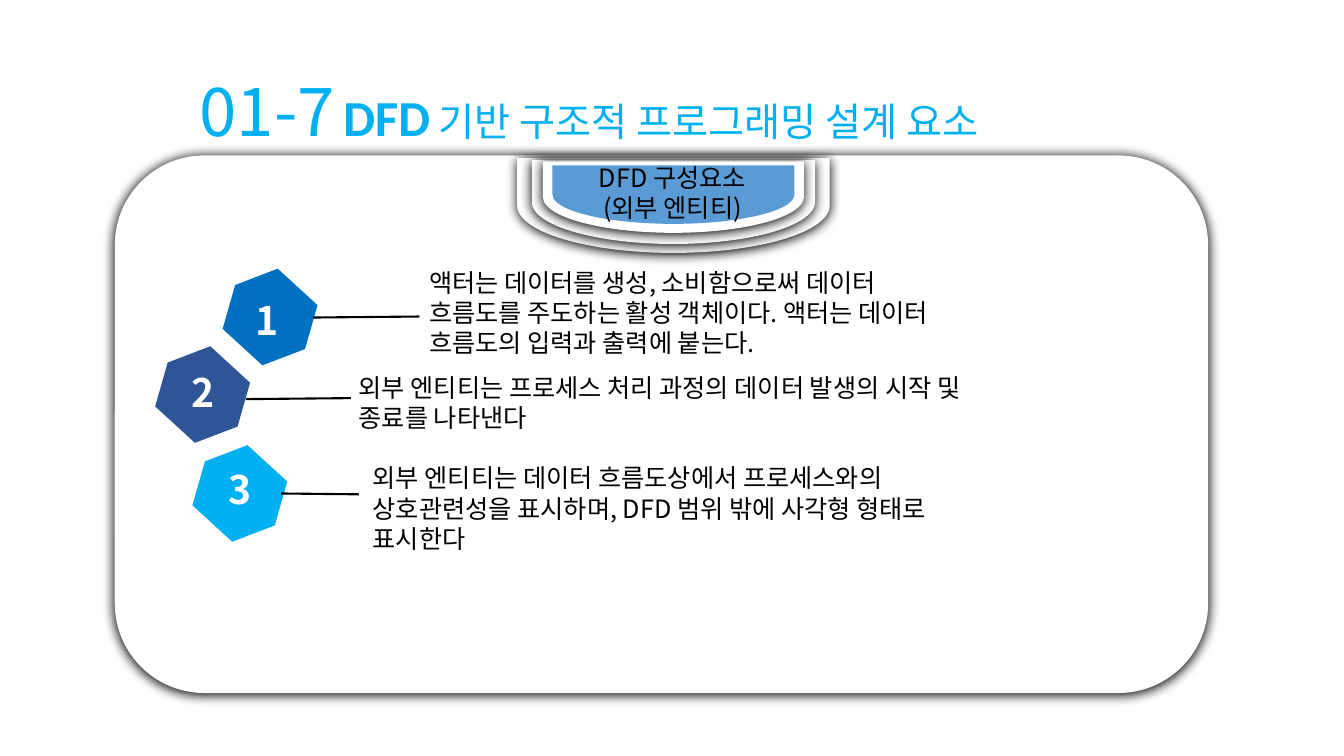
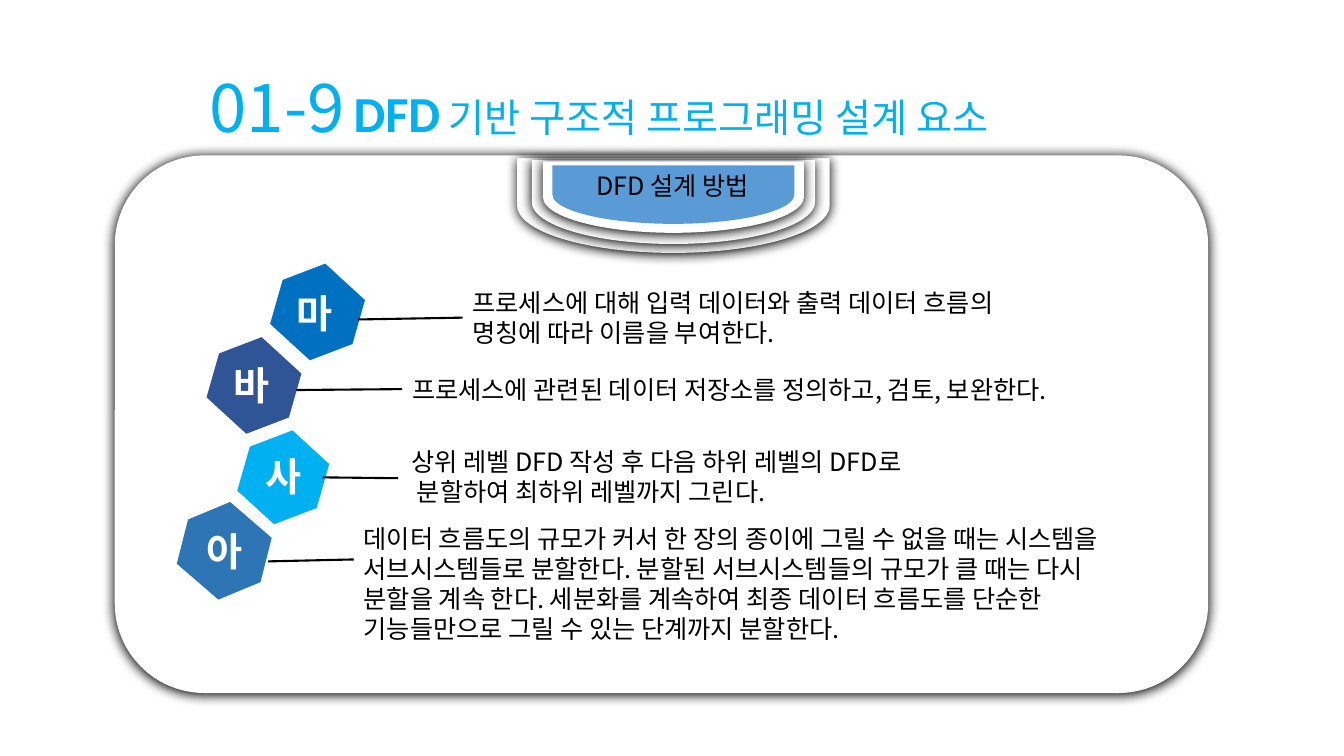
from dataclasses import dataclass

from lxml.etree import SubElement
from pptx import Presentation
from pptx.dml.color import RGBColor
from pptx.enum.shapes import MSO_CONNECTOR as Line, MSO_SHAPE as Preset
from pptx.enum.text import MSO_AUTO_SIZE as AutoSize, PP_ALIGN as Align
from pptx.oxml.ns import qn
from pptx.util import Pt

KOREAN, LATIN = "Noto Sans CJK KR", "Calibri"
BLACK, WHITE = "000000", "FFFFFF"
BLUE, NAVY, SKY, STEEL, BADGE = "0070C0", "2F5597", "00B0F0", "2E75B6", "5B9BD5"
SUBJECT = " 기반 구조적 프로그래밍 설계 요소"
BADGE_CENTER = 481


@dataclass(frozen=True)
class Run:
    text: str
    size: float = 18
    color: str = BLACK
    font: str = KOREAN
    bold: bool = False


@dataclass(frozen=True)
class Layer:
    top: float
    depth: float
    span: float
    fill: str = WHITE


@dataclass(frozen=True)
class Item:
    mark: str
    color: str
    hexagon: tuple[float, float]
    mark_at: tuple[float, float]
    start: tuple[float, float]
    end: tuple[float, float]
    text_at: tuple[float, float]
    text_width: float
    rows: int
    paragraphs: tuple[str, ...]
    joined: bool = False
    hexagon_width: float = 67.7
    rotation: float = 42.5


@dataclass(frozen=True)
class Page:
    number: str
    title_at: tuple[float, float]
    badge: str
    badge_top: float
    badge_rows: int
    items: tuple[Item, ...]


LAYERS = (
    Layer(113, 67.7, 223.2),
    Layer(114.5, 59.8, 202.3),
    Layer(115.2, 51.1, 186.5),
    Layer(118.1, 41.8, 172.8, BADGE),
)

PAGES = (
    Page("01-7", (135.4, 46), "DFD 구성요소(외부 엔티티)", 112.3, 2, (
        Item("1", BLUE, (159.1, 197.3), (175.7, 208.1), (223.9, 226.8), (299.5, 226.1),
             (299.5, 187.2), 391.7, 3,
             ("액터는 데이터를 생성, 소비함으로써 데이터 흐름도를 주도하는 활성 객체이다. "
              "액터는 데이터 흐름도의 입력과 출력에 붙는다.",)),
        Item("2", NAVY, (110.9, 252.7), (129.6, 259.2), (175.7, 285.1), (250.6, 284.4),
             (249.1, 262.1), 493.2, 2,
             ("외부 엔티티는 프로세스 처리 과정의 데이터 발생의 시작 및 종료를 나타낸다",)),
        Item("3", SKY, (137.5, 323.3), (156.2, 329), (200.9, 352.5), (256.3, 353.1),
             (259.2, 326.9), 453.6, 3,
             ("외부 엔티티는 데이터 흐름도상에서 프로세스와의 상호관련성을 표시하며, "
              "DFD 범위 밖에 사각형 형태로 표시한다",)),
    )),
    Page("01-9", (142.6, 43.2), "DFD 설계 방법", 118.1, 1, (
        Item("마", BLUE, (193, 193.7), (204.5, 203), (255.6, 228.2), (330.5, 227.5),
             (330.5, 201.6), 391.7, 2,
             ("프로세스에 대해 입력 데이터와 출력 데이터 흐름의 명칭에 따라 이름을 부여한다.",),
             joined=True),
        Item("바", NAVY, (147.6, 246.2), (159.8, 254.2), (211.7, 278.6), (287.3, 277.9),
             (287.3, 263.5), 532.8, 1,
             ("프로세스에 관련된 데이터 저장소를 정의하고, 검토, 보완한다.",),
             joined=True),
        Item("사", SKY, (169.9, 311.8), (182.2, 319.7), (230.4, 341), (284.4, 341.6),
             (286.6, 315.4), 435.6, 2,
             ("상위 레벨 DFD 작성 후 다음 하위 레벨의 DFD로",
              " 분할하여 최하위 레벨까지 그린다."),
             hexagon_width=64.8),
        Item("아", STEEL, (126, 364.3), (140.4, 373), (191.5, 401), (252.7, 399.6),
             (252.7, 370.1), 552.2, 4,
             ("데이터 흐름도의 규모가 커서 한 장의 종이에 그릴 수 없을 때는 시스템을 "
              "서브시스템들로 분할한다. 분할된 서브시스템들의 규모가 클 때는 다시 분할을 "
              "계속 한다. 세분화를 계속하여 최종 데이터 흐름도를 단순한 기능들만으로 그릴 "
              "수 있는 단계까지 분할한다.",),
             hexagon_width=68.4, rotation=40.8),
    )),
)


def rgb(color: str) -> RGBColor:
    return RGBColor.from_string(color)


def text_height(rows: int) -> float:
    return 7.2 + 21.7 * rows


def add_text(shapes, left: float, top: float, width: float, height: float,
             paragraphs: list[list[Run]], align=Align.LEFT):
    box = shapes.add_textbox(Pt(left), Pt(top), Pt(width), Pt(height))
    frame = box.text_frame
    frame.word_wrap = True
    frame.auto_size = AutoSize.SHAPE_TO_FIT_TEXT
    for index, runs in enumerate(paragraphs):
        paragraph = frame.add_paragraph() if index else frame.paragraphs[0]
        paragraph.alignment = align
        for part in runs:
            run = paragraph.add_run()
            run.text = part.text
            run.font.size = Pt(part.size)
            run.font.bold = part.bold
            run.font.color.rgb = rgb(part.color)
            run.font.name = part.font
            SubElement(run.font._element, qn("a:ea"), typeface=part.font)
    return box


def add_preset(shapes, preset, left: float, top: float, width: float, height: float,
               fill: str, rotation: float = 0, shadowed: bool = False) -> None:
    shape = shapes.add_shape(preset, Pt(left), Pt(top), Pt(width), Pt(height))
    shape.rotation = rotation
    shape.fill.solid()
    shape.fill.fore_color.rgb = rgb(fill)
    shape.line.fill.background()
    shape.shadow.inherit = False
    if shadowed:
        effects = shape._element.spPr.find(qn("a:effectLst"))
        shadow = SubElement(effects, qn("a:outerShdw"), blurRad=str(Pt(8.5)),
                            dist=str(Pt(1)), dir="5400000", algn="t", rotWithShape="0")
        SubElement(shadow, qn("a:srgbClr"), val=BLACK)


def add_item(shapes, item: Item) -> None:
    group = shapes.add_group_shape().shapes
    add_preset(group, Preset.HEXAGON, *item.hexagon, item.hexagon_width, 58.3,
               item.color, item.rotation)
    add_text(group, *item.mark_at, 35.3, 41, [[Run(item.mark, 28, WHITE, bold=True)]])
    description = add_text(group, *item.text_at, item.text_width, text_height(item.rows),
                           [[Run(text)] for text in item.paragraphs])
    leader = group.add_connector(Line.STRAIGHT, *map(Pt, item.start + item.end))
    leader.line.color.rgb = rgb(BLACK)
    leader.line.width = Pt(1.5)
    SubElement(leader._element.spPr, qn("a:effectLst"))
    if item.joined:
        leader.end_connect(description, 1)


def add_badge(shapes, page: Page) -> None:
    for layer in LAYERS:
        add_preset(shapes, Preset.FLOWCHART_DELAY, BADGE_CENTER - layer.depth / 2,
                   layer.top + (layer.depth - layer.span) / 2, layer.depth, layer.span,
                   layer.fill, 90, layer.fill == WHITE)
    add_text(shapes, 405.4, page.badge_top, 149.8, text_height(page.badge_rows),
             [[Run(page.badge)]], Align.CENTER)


def add_page(deck, page: Page) -> None:
    shapes = deck.slides.add_slide(deck.slide_layouts[6]).shapes
    add_preset(shapes, Preset.ROUNDED_RECTANGLE, 82, 111, 781, 384, WHITE, shadowed=True)
    add_text(shapes, *page.title_at, 676.5, 65.5, [[
        Run(page.number, 48, SKY),
        Run(" ", 28, SKY),
        Run("DFD", 36, SKY, LATIN, True),
        Run(SUBJECT, 28, SKY),
    ]])
    for item in page.items:
        add_item(shapes, item)
    add_badge(shapes, page)


def main() -> None:
    deck = Presentation()
    deck.slide_width, deck.slide_height = Pt(960), Pt(540)
    for page in PAGES:
        add_page(deck, page)
    deck.save("out.pptx")


if __name__ == "__main__":
    main()
